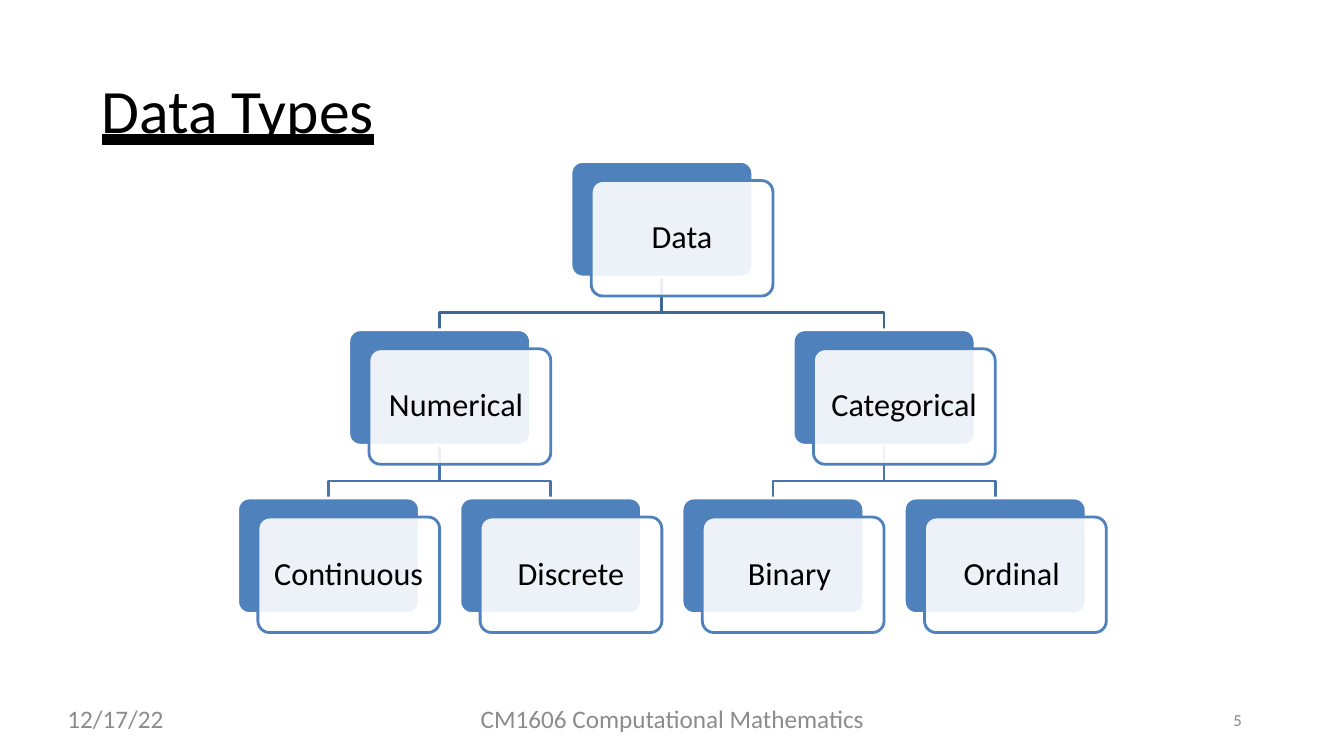
from dataclasses import dataclass

import pptx
import pptx.dml.color
import pptx.enum.shapes
import pptx.enum.text
import pptx.oxml
import pptx.oxml.ns
import pptx.shapes.autoshape
import pptx.slide
import pptx.text.text
import pptx.util
from pptx.util import Cm

FONT = "Calibri"
BLUE, WHITE, BLACK, GREY = "4F81BD", "FFFFFF", "000000", "8C8C8C"
CARD_WIDTH, CARD_HEIGHT = 4.58, 2.91
FRONT_X, FRONT_Y = 0.51, 0.48
FIRST_CENTRE, COLUMN_STEP = 8.28, 5.6
FIRST_TOP, ROW_STEP = 4.07, 4.24
BRANCH_DROP = 0.9
BRANCH_COLOURS = ("3F6797", "4875AC")

LEFT = pptx.enum.text.PP_ALIGN.LEFT
CENTRE = pptx.enum.text.PP_ALIGN.CENTER


@dataclass(frozen=True)
class Node:
    """A card in the tree; column counts from the leftmost leaf."""
    label: str
    column: float
    row: int
    children: tuple["Node", ...] = ()

    @property
    def centre(self) -> float:
        return FIRST_CENTRE + self.column * COLUMN_STEP

    @property
    def top(self) -> float:
        return FIRST_TOP + self.row * ROW_STEP


@dataclass(frozen=True)
class FooterItem:
    text: str
    left: float
    top: float
    width: float
    height: float
    size: int
    colour: str = GREY
    alignment: pptx.enum.text.PP_ALIGN = LEFT


# The trailing spaces count when a label is centred.
TREE = Node("Data", 1.5, 0, (
    Node("Numerical ", 0.5, 1, (Node("Continuous", 0, 2), Node("Discrete", 1, 2))),
    Node("Categorical", 2.5, 1, (Node("Binary ", 2, 2), Node("Ordinal ", 3, 2))),
))

FOOTER = (
    FooterItem("12/17/22", 1.7, 17.72, 7.8, 0.97, 18),
    FooterItem("CM1606 Computational Mathematics", 11.52, 17.72, 10.85, 0.97, 18,
               alignment=CENTRE),
    FooterItem("5", 31.08, 17.88, 0.6, 0.58, 12, "888888"),
)


def rgb(colour: str) -> pptx.dml.color.RGBColor:
    return pptx.dml.color.RGBColor.from_string(colour)


def add_run(paragraph: pptx.text.text._Paragraph, text: str, size: int,
            colour: str) -> pptx.text.text._Run:
    run = paragraph.add_run()
    run.text = text
    run.font.name = FONT
    run.font.size = pptx.util.Pt(size)
    run.font.color.rgb = rgb(colour)
    return run


def set_margins(frame: pptx.text.text.TextFrame, margin: float) -> None:
    frame.margin_left = frame.margin_right = Cm(margin)
    frame.margin_top = frame.margin_bottom = Cm(margin)


def add_title(slide: pptx.slide.Slide) -> None:
    title = slide.shapes.title
    title.left, title.top = Cm(2.56), Cm(1.81)
    title.width, title.height = Cm(29.05), Cm(1.93)
    frame = title.text_frame
    frame.auto_size = pptx.enum.text.MSO_AUTO_SIZE.NONE
    frame.vertical_anchor = pptx.enum.text.MSO_ANCHOR.TOP
    set_margins(frame, 0)
    paragraph = frame.paragraphs[0]
    paragraph.alignment = LEFT
    paragraph.space_before = pptx.util.Pt(1)
    for text in ("Data", " Types"):
        run = add_run(paragraph, text, 44, BLACK)
        run.font.underline = pptx.enum.text.MSO_UNDERLINE.HEAVY_LINE


def add_footer_item(slide: pptx.slide.Slide, item: FooterItem) -> None:
    box = slide.shapes.add_textbox(Cm(item.left), Cm(item.top),
                                   Cm(item.width), Cm(item.height))
    frame = box.text_frame
    frame.word_wrap = True
    set_margins(frame, 0)
    paragraph = frame.paragraphs[0]
    paragraph.alignment = item.alignment
    add_run(paragraph, item.text, item.size, item.colour)


def add_branches(slide: pptx.slide.Slide, node: Node) -> None:
    """Draw the elbow lines below a node and below its descendants."""
    start = node.top + CARD_HEIGHT
    for child in node.children:
        add_branches(slide, child)
        bend = Cm(start + BRANCH_DROP)
        builder = slide.shapes.build_freeform(Cm(node.centre), Cm(start))
        builder.add_line_segments([
            (Cm(node.centre), bend),
            (Cm(child.centre), bend),
            (Cm(child.centre), Cm(child.top)),
        ], close=False)
        branch = builder.convert_to_shape()
        branch.shadow.inherit = False
        branch.fill.background()
        branch.line.color.rgb = rgb(BRANCH_COLOURS[node.row])
        branch.line.width = pptx.util.Pt(2)


def add_card(slide: pptx.slide.Slide, left: float, top: float, fill: str,
             line: str) -> pptx.shapes.autoshape.Shape:
    card = slide.shapes.add_shape(
        pptx.enum.shapes.MSO_SHAPE.ROUNDED_RECTANGLE,
        Cm(left), Cm(top), Cm(CARD_WIDTH), Cm(CARD_HEIGHT))
    card.adjustments[0] = 0.1
    card.shadow.inherit = False
    card.fill.solid()
    card.fill.fore_color.rgb = rgb(fill)
    card.line.color.rgb = rgb(line)
    card.line.width = pptx.util.Pt(2)
    return card


def set_opacity(shape: pptx.shapes.autoshape.Shape, percent: int) -> None:
    colour = shape.fill._xPr.find(".//" + pptx.oxml.ns.qn("a:srgbClr"))
    namespace = pptx.oxml.ns.nsdecls("a")
    colour.append(pptx.oxml.parse_xml(f'<a:alpha {namespace} val="{percent * 1000}"/>'))


def add_node(slide: pptx.slide.Slide, node: Node) -> None:
    """Draw a node's pair of cards, then its descendants."""
    left = node.centre - CARD_WIDTH / 2
    add_card(slide, left, node.top, BLUE, WHITE)
    front = add_card(slide, left + FRONT_X, node.top + FRONT_Y, WHITE, BLUE)
    set_opacity(front, 90)
    frame = front.text_frame
    frame.word_wrap = True
    frame.vertical_anchor = pptx.enum.text.MSO_ANCHOR.MIDDLE
    set_margins(frame, 0.24)
    paragraph = frame.paragraphs[0]
    paragraph.alignment = CENTRE
    paragraph.line_spacing = 0.9
    add_run(paragraph, node.label, 23, BLACK)
    for child in node.children:
        add_node(slide, child)


def main() -> None:
    presentation = pptx.Presentation()
    presentation.slide_width, presentation.slide_height = Cm(33.87), Cm(19.05)
    slide = presentation.slides.add_slide(presentation.slide_layouts[5])
    add_title(slide)
    for item in FOOTER:
        add_footer_item(slide, item)
    add_branches(slide, TREE)
    add_node(slide, TREE)
    presentation.save("out.pptx")


if __name__ == "__main__":
    main()
